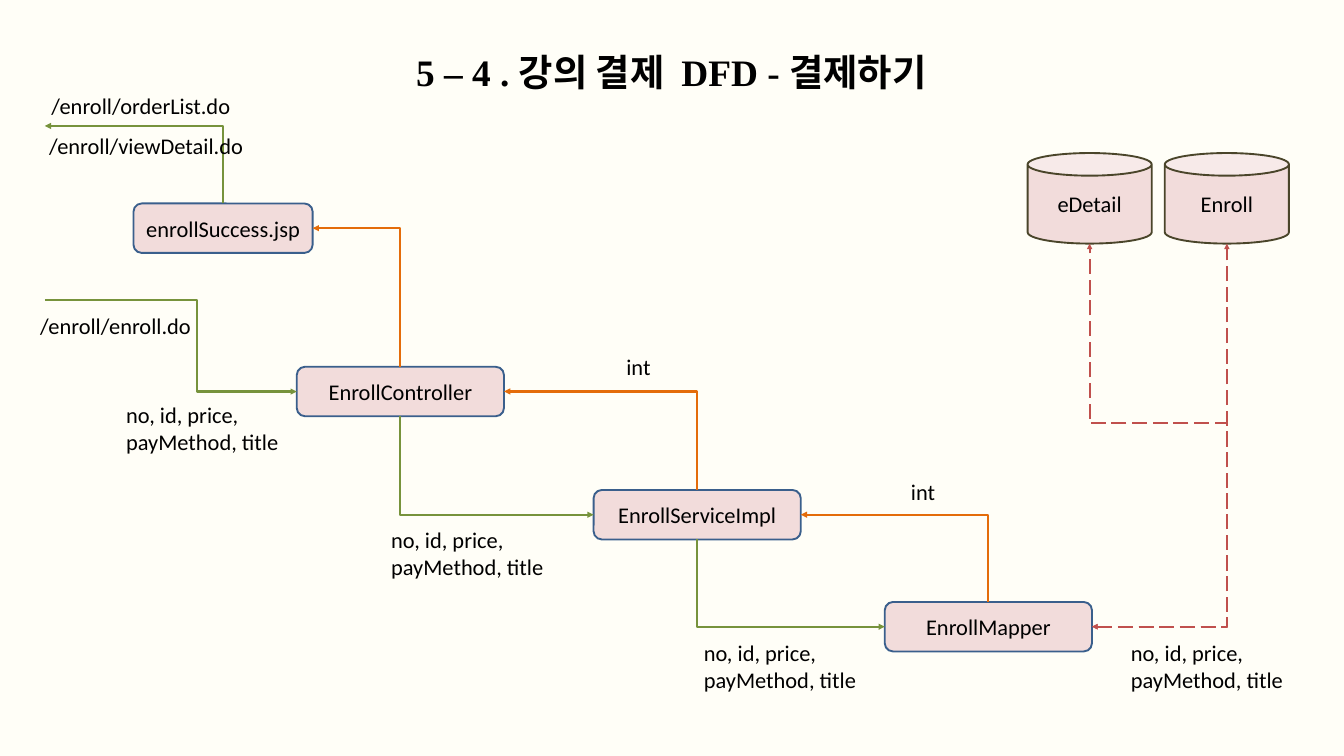
from dataclasses import dataclass

from lxml import etree
from pptx import Presentation
from pptx.dml.color import RGBColor
from pptx.enum.dml import MSO_LINE
from pptx.enum.shapes import MSO_CONNECTOR, MSO_SHAPE
from pptx.enum.text import MSO_ANCHOR, MSO_AUTO_SIZE, PP_ALIGN
from pptx.oxml.ns import qn
from pptx.util import Pt

BOX = MSO_SHAPE.ROUNDED_RECTANGLE
CAN = MSO_SHAPE.CAN
ELBOW = MSO_CONNECTOR.ELBOW
LONG_DASH = MSO_LINE.LONG_DASH
LEFT, CENTER = PP_ALIGN.LEFT, PP_ALIGN.CENTER
TOP, MIDDLE = MSO_ANCHOR.TOP, MSO_ANCHOR.MIDDLE
FIT_SHAPE = MSO_AUTO_SIZE.SHAPE_TO_FIT_TEXT
TITLE_ONLY = 5

COLORS = {
    "background": "FFFEF7",
    "text": "000000",
    "node": "F2DCDB",
    "box_line": "3A5F8C",
    "can_line": "4A452A",
    "request": "77933C",
    "response": "E46C0A",
    "query": "C0504D",
}
PARAMETERS = "no, id, price,\npayMethod, title"


@dataclass
class Node:
    text: str
    left: float
    top: float
    width: float = 222
    height: float = 53
    kind: int = BOX
    line: str = "box_line"

    def side(self, name):
        middle_x = self.left + self.width / 2
        middle_y = self.top + self.height / 2
        return {
            "top": (middle_x, self.top),
            "left": (self.left, middle_y),
            "bottom": (middle_x, self.top + self.height),
            "right": (self.left + self.width, middle_y),
        }[name]


@dataclass
class Elbow:
    begin: tuple
    end: tuple
    color: str
    vertical_first: bool = True
    bends: tuple = ()
    preset: str = "bentConnector2"


@dataclass
class Label:
    text: str
    left: float
    top: float
    width: float
    height: float = 36
    wrap: bool = False


def rgb(name: str) -> RGBColor:
    return RGBColor.from_string(COLORS[name])


def write_text(shape, text: str, *, size=24, font="Calibri", bold=False,
               align=LEFT, anchor=TOP, wrap=True, fit=False) -> None:
    frame = shape.text_frame
    frame.word_wrap = wrap
    frame.vertical_anchor = anchor
    if fit:
        frame.auto_size = FIT_SHAPE
    frame.text = text
    for paragraph in frame.paragraphs:
        paragraph.alignment = align
        for run in paragraph.runs:
            run.font.size = Pt(size)
            run.font.name = font
            run.font.bold = bold
            run.font.color.rgb = rgb("text")


def draw_node(slide, node: Node) -> None:
    shape = slide.shapes.add_shape(
        node.kind, Pt(node.left), Pt(node.top), Pt(node.width), Pt(node.height))
    shape.shadow.inherit = False
    shape.fill.solid()
    shape.fill.fore_color.rgb = rgb(node.fill if hasattr(node, "fill") else "node")
    shape.line.color.rgb = rgb(node.line)
    shape.line.width = Pt(2)
    write_text(shape, node.text, align=CENTER, anchor=MIDDLE)


def draw_label(slide, label: Label) -> None:
    shape = slide.shapes.add_textbox(
        Pt(label.left), Pt(label.top), Pt(label.width), Pt(label.height))
    write_text(shape, label.text, wrap=label.wrap, fit=True)


def draw_elbow(slide, elbow: Elbow) -> None:
    (x1, y1), (x2, y2) = elbow.begin, elbow.end
    if elbow.vertical_first:
        center_x, center_y = (x1 + x2) / 2, (y1 + y2) / 2
        half_x, half_y = (y1 - y2) / 2, (x2 - x1) / 2
        x1, x2 = center_x - half_x, center_x + half_x
        y1, y2 = center_y - half_y, center_y + half_y
    connector = slide.shapes.add_connector(ELBOW, Pt(x1), Pt(y1), Pt(x2), Pt(y2))
    is_query = elbow.color == "query"
    connector.line.color.rgb = rgb(elbow.color)
    connector.line.width = Pt(2 if is_query else 2.25)
    if is_query:
        connector.line.dash_style = LONG_DASH

    properties = connector._element.spPr
    if elbow.vertical_first:
        properties.find(qn("a:xfrm")).set("rot", str(270 * 60000))
    geometry = properties.find(qn("a:prstGeom"))
    geometry.set("prst", elbow.preset)
    adjustments = geometry.find(qn("a:avLst"))
    for number, bend in enumerate(elbow.bends, 1):
        etree.SubElement(adjustments, qn("a:gd"), name=f"adj{number}",
                         fmla=f"val {round(bend * 100000)}")
    line = properties.find(qn("a:ln"))
    for arrow in ("a:headEnd", "a:tailEnd") if is_query else ("a:tailEnd",):
        etree.SubElement(line, qn(arrow), type="triangle")
    etree.SubElement(properties, qn("a:effectLst"))


def main() -> None:
    presentation = Presentation()
    presentation.slide_width, presentation.slide_height = Pt(1440), Pt(810)
    slide = presentation.slides.add_slide(presentation.slide_layouts[TITLE_ONLY])
    slide.background.fill.solid()
    slide.background.fill.fore_color.rgb = rgb("background")

    title = slide.shapes.title
    title.left, title.top, title.width, title.height = Pt(414), Pt(49), Pt(610.5), Pt(55.5)
    write_text(title, "5 – 4 . 강의 결제  DFD - 결제하기", size=40,
               font="Times New Roman", bold=True, align=CENTER, fit=True)

    success = Node("enrollSuccess.jsp", 143, 218, width=192)
    controller = Node("EnrollController", 318, 393)
    service = Node("EnrollServiceImpl", 636, 525)
    mapper = Node("EnrollMapper", 948, 645)
    detail_table, enroll_table = (
        Node(text, left, 164, 133, 97, CAN, "can_line")
        for text, left in (("eDetail", 1101), ("Enroll", 1248)))
    for node in (success, controller, service, mapper, detail_table, enroll_table):
        draw_node(slide, node)

    query_begin, detail_end = mapper.side("right"), detail_table.side("bottom")
    detail_bends = (
        (1315 - query_begin[0]) / (detail_end[0] - query_begin[0]),
        (453.5 - query_begin[1]) / (detail_end[1] - query_begin[1]),
    )
    elbows = [
        Elbow((48, 321), controller.side("left"), "request", False, (0.605,), "bentConnector3"),
        Elbow(success.side("top"), (48, 135), "request"),
        Elbow(controller.side("top"), success.side("right"), "response"),
        Elbow(query_begin, enroll_table.side("bottom"), "query", False),
        Elbow(query_begin, detail_end, "query", False, detail_bends, "bentConnector4"),
    ]
    for caller, callee in ((controller, service), (service, mapper)):
        elbows.append(Elbow(caller.side("bottom"), callee.side("left"), "request"))
        elbows.append(Elbow(callee.side("top"), caller.side("right"), "response"))
    for elbow in elbows:
        draw_elbow(slide, elbow)

    labels = [
        Label("/enroll/orderList.do", 48, 95, 241, wrap=True),
        Label("/enroll/viewDetail.do", 45.5, 137.5, 241, wrap=True),
        Label("/enroll/enroll.do", 36, 330.5, 203, wrap=True),
        Label("int", 664, 375, 41),
        Label("int", 969, 508.5, 41),
    ]
    for left, top in ((128, 426), (412, 560), (747, 681), (1204.5, 681)):
        labels.append(Label(PARAMETERS, left, top, 179, 65.5))
    for label in labels:
        draw_label(slide, label)

    presentation.save("out.pptx")


if __name__ == "__main__":
    main()
